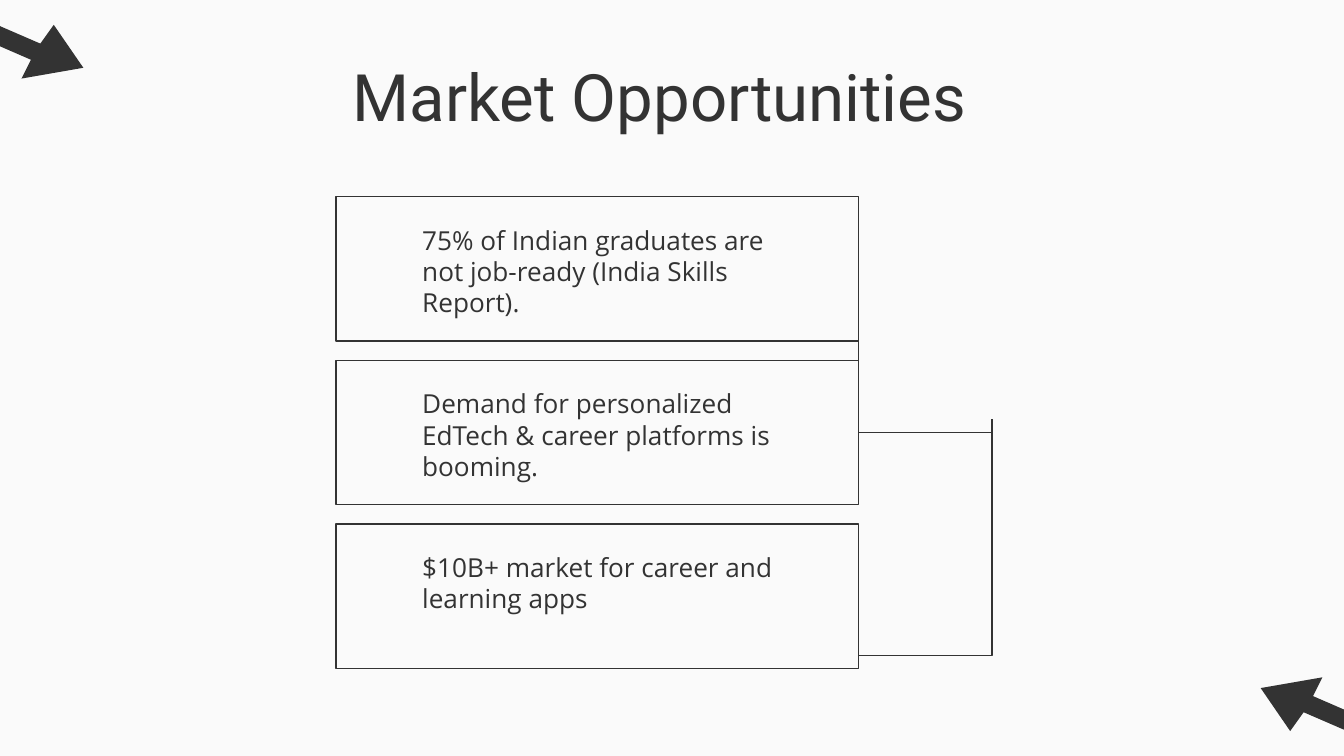
from dataclasses import dataclass
from typing import Any

from lxml.etree import SubElement
from pptx import Presentation
from pptx.dml.color import RGBColor
from pptx.enum.shapes import MSO_CONNECTOR as Link, MSO_SHAPE as Preset
from pptx.enum.text import MSO_ANCHOR as Anchor, PP_ALIGN as Align
from pptx.oxml.ns import qn
from pptx.util import Inches, Pt

COLORS = {"ink": "333333", "paper": "FAFAFA"}
COLS, ROWS = 100, 56.25
CELL = Inches(0.1)


def color(name):
    return RGBColor.from_string(COLORS[name])


def cells(*counts):
    return [round(count * CELL) for count in counts]


@dataclass
class Board:
    slide: Any
    heading_font: str = "Roboto"
    body_font: str = "Open Sans"
    stroke: float = 0.75

    def background(self):
        fill = self.slide.background.fill
        fill.solid()
        fill.fore_color.rgb = color("paper")

    def outline(self, item):
        item.line.color.rgb = color("ink")
        item.line.width = Pt(self.stroke)

    def arrow(self, points):
        start, *rest = [tuple(cells(*point)) for point in points]
        builder = self.slide.shapes.build_freeform(*start)
        builder.add_line_segments(rest, close=True)
        arrow = builder.convert_to_shape()
        arrow.shadow.inherit = False
        arrow.fill.solid()
        arrow.fill.fore_color.rgb = color("ink")
        arrow.line.fill.background()

    def frame(self, left, top, width, height):
        frame = self.slide.shapes.add_shape(
            Preset.RECTANGLE, *cells(left, top, width, height))
        frame.shadow.inherit = False
        frame.fill.background()
        self.outline(frame)
        return frame

    def text(self, words, left, top, width, height, size, font,
             align=Align.LEFT, spacing=1.0):
        box = self.slide.shapes.add_textbox(*cells(left, top, width, height))
        body = box.text_frame
        body.word_wrap = True
        body.vertical_anchor = Anchor.TOP
        body.margin_left = body.margin_right = CELL
        body.margin_top = body.margin_bottom = CELL
        paragraph = body.paragraphs[0]
        paragraph.alignment = align
        paragraph.line_spacing = spacing
        run = paragraph.add_run()
        run.text = words
        run.font.name = font
        run.font.size = Pt(size)
        run.font.color.rgb = color("ink")

    def connector(self, kind, *ends):
        connector = self.slide.shapes.add_connector(kind, *cells(*ends))
        self.outline(connector)
        properties = connector._element.spPr
        SubElement(properties, qn("a:effectLst"))
        if kind == Link.ELBOW:
            properties.find(qn("a:prstGeom")).set("prst", "bentConnector2")
        return connector


def main():
    deck = Presentation()
    deck.slide_width, deck.slide_height = cells(COLS, ROWS)
    board = Board(deck.slides.add_slide(deck.slide_layouts[6]))
    board.background()

    corner_arrow = [(98.4, 50.4), (97.7, 51.8), (100, 52.8), (100, 54.3),
                    (97, 53), (96, 54.4), (93.8, 51.2)]
    board.arrow([(COLS - x, ROWS - y) for x, y in corner_arrow])
    board.arrow(corner_arrow)

    board.text("Market Opportunities", 6.95, 3.85, 84.3, 6.3, 35,
               board.heading_font, Align.CENTER, 0.9)

    points = ["75% of Indian graduates are not job-ready (India Skills Report).",
              "Demand for personalized EdTech & career platforms is booming.",
              "$10B+ market for career and learning apps"]
    left, top, width, height, pitch = 25, 14.63, 38.9, 10.75, 12.18
    frames = []
    for row, point in enumerate(points):
        y = top + row * pitch
        frames.append(board.frame(left, y, width, height))
        board.text(point, left + 5.43, y + 1.03, 28.1, 8.7, 14,
                   board.body_font)

    right, rail = left + width, 73.8
    middle = top + pitch + height / 2
    board.connector(Link.ELBOW, rail, middle, right, 19.7)
    board.connector(Link.ELBOW, right, 48.8, rail, 31.2)
    demand_link = board.connector(Link.STRAIGHT, right, middle, rail, middle)
    demand_link.begin_connect(frames[1], 3)

    deck.save("out.pptx")


if __name__ == "__main__":
    main()
